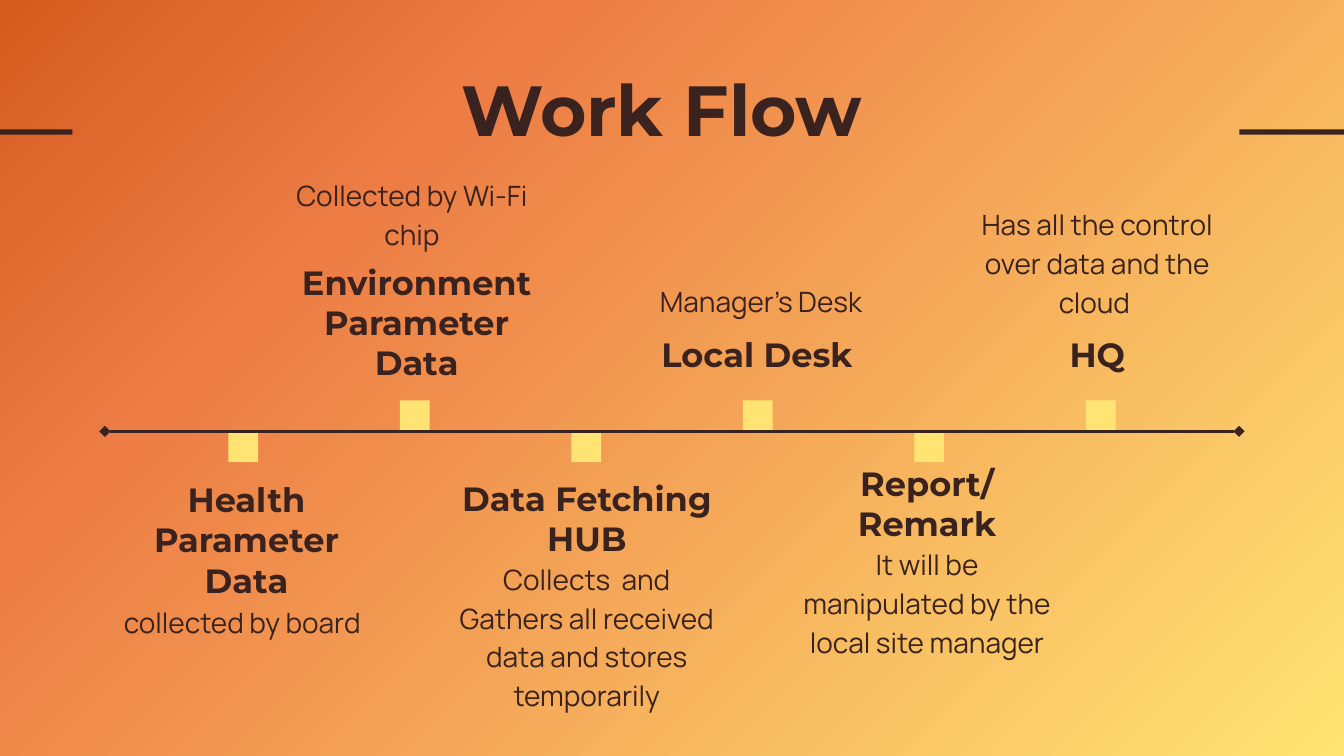
from dataclasses import dataclass

from lxml import etree
from pptx import Presentation
from pptx.dml.color import RGBColor
from pptx.enum import shapes, text
from pptx.oxml import ns
from pptx.util import Pt

COLORS = {"dark": "3A221E", "yellow": "FFE473", "orange": "ED7D45", "rust": "D45B1E"}
GRADIENT = [(0, "yellow"), (73, "orange"), (100, "rust")]

SLIDE_W, SLIDE_H = 720, 405
AXIS_Y, AXIS_LEFT, AXIS_RIGHT = 231.1, 56.2, 663.8
MARKER_SIZE, MARKER_LEFT, MARKER_STEP = 16, 122.4, 91.87
LABEL_CENTER, LABEL_STEP = 132.1, 91.15
LABEL_W = 152


@dataclass
class Step:
    heading: str
    heading_top: float
    note: str
    note_top: float
    note_height: float = 74.2
    note_shift: float = 0
    heading_width: float = LABEL_W
    note_width: float = LABEL_W


STEPS = [
    Step("Health Parameter Data", 275, "collected by board", 314.6, note_shift=-2.2),
    Step("Environment Parameter Data", 158.4, "Collected by Wi-Fi chip", 85.7,
         note_height=62, note_shift=-2.5, heading_width=160.6, note_width=156.2),
    Step("Data Fetching HUB", 263.5,
         "Collects  and Gathers all received data and stores temporarily", 291.6),
    Step("Local Desk", 175.7, "Manager’s Desk", 142.6, note_height=38.2, note_shift=2.2),
    Step("Report/ Remark", 255.6, "It will be manipulated by the local site manager", 283.7),
    Step("HQ", 175.7, "Has all the control over data and the cloud ", 101.5),
]


def color(name):
    return RGBColor.from_string(COLORS[name])


def paint_background(slide):
    fill = slide.background.fill
    fill.gradient()
    fill.gradient_angle = 135
    stops = slide.background._cSld.find(".//" + ns.qn("a:gsLst"))
    for stop in list(stops):
        stops.remove(stop)
    for percent, name in GRADIENT:
        stop = etree.SubElement(stops, ns.qn("a:gs"), pos=str(percent * 1000))
        etree.SubElement(stop, ns.qn("a:srgbClr"), val=COLORS[name])


def add_block(slide, left, top, width, height, fill):
    block = slide.shapes.add_shape(
        shapes.MSO_SHAPE.RECTANGLE, Pt(left), Pt(top), Pt(width), Pt(height))
    block.shadow.inherit = False
    block.fill.solid()
    block.fill.fore_color.rgb = color(fill)
    block.line.fill.background()


def add_label(slide, center, top, width, height, words, size, font,
              bold=False, anchor=text.MSO_ANCHOR.TOP, spacing=None):
    """Add centred text in a box placed by its horizontal centre."""
    box = slide.shapes.add_textbox(Pt(center - width / 2), Pt(top), Pt(width), Pt(height))
    frame = box.text_frame
    frame.word_wrap = True
    frame.vertical_anchor = anchor
    frame.margin_left = frame.margin_right = Pt(7.2)
    frame.margin_top = frame.margin_bottom = Pt(7.2)
    paragraph = frame.paragraphs[0]
    paragraph.alignment = text.PP_ALIGN.CENTER
    paragraph.line_spacing = spacing
    run = paragraph.add_run()
    run.text = words
    run.font.size = Pt(size)
    run.font.name = font
    run.font.bold = bold
    run.font.color.rgb = color("dark")


def add_axis(slide):
    axis = slide.shapes.add_connector(
        shapes.MSO_CONNECTOR.STRAIGHT, Pt(AXIS_LEFT), Pt(AXIS_Y), Pt(AXIS_RIGHT), Pt(AXIS_Y))
    axis.line.color.rgb = color("dark")
    axis.line.width = Pt(1.5)
    line = axis.line._get_or_add_ln()
    for end in ("a:headEnd", "a:tailEnd"):
        etree.SubElement(line, ns.qn(end), type="diamond")
    etree.SubElement(axis._element.spPr, ns.qn("a:effectLst"))


def add_marker(slide, index):
    """Hang even markers below the axis and stand odd ones on it."""
    top = AXIS_Y + 0.6 if index % 2 == 0 else AXIS_Y - 0.6 - MARKER_SIZE
    add_block(slide, MARKER_LEFT + index * MARKER_STEP, top,
              MARKER_SIZE, MARKER_SIZE, "yellow")


def add_step(slide, index, step):
    center = LABEL_CENTER + index * LABEL_STEP
    add_label(slide, center, step.heading_top, step.heading_width, 28.1, step.heading,
              18, "Montserrat", bold=True, anchor=text.MSO_ANCHOR.MIDDLE)
    add_label(slide, center + step.note_shift, step.note_top, step.note_width,
              step.note_height, step.note, 15, "Manrope", spacing=1.15)


def main():
    deck = Presentation()
    deck.slide_width, deck.slide_height = Pt(SLIDE_W), Pt(SLIDE_H)
    slide = deck.slides.add_slide(deck.slide_layouts[6])
    paint_background(slide)
    for left, right in ((0, 38.8), (664, SLIDE_W)):
        add_block(slide, left, 69.3, right - left, 2.8, "dark")
    for index in range(len(STEPS)):
        add_marker(slide, index)
    add_label(slide, SLIDE_W / 2, 28, 607.6, 45, "Work Flow ", 38, "Montserrat", bold=True)
    for index, step in enumerate(STEPS):
        add_step(slide, index, step)
    add_axis(slide)
    deck.save("out.pptx")


if __name__ == "__main__":
    main()
